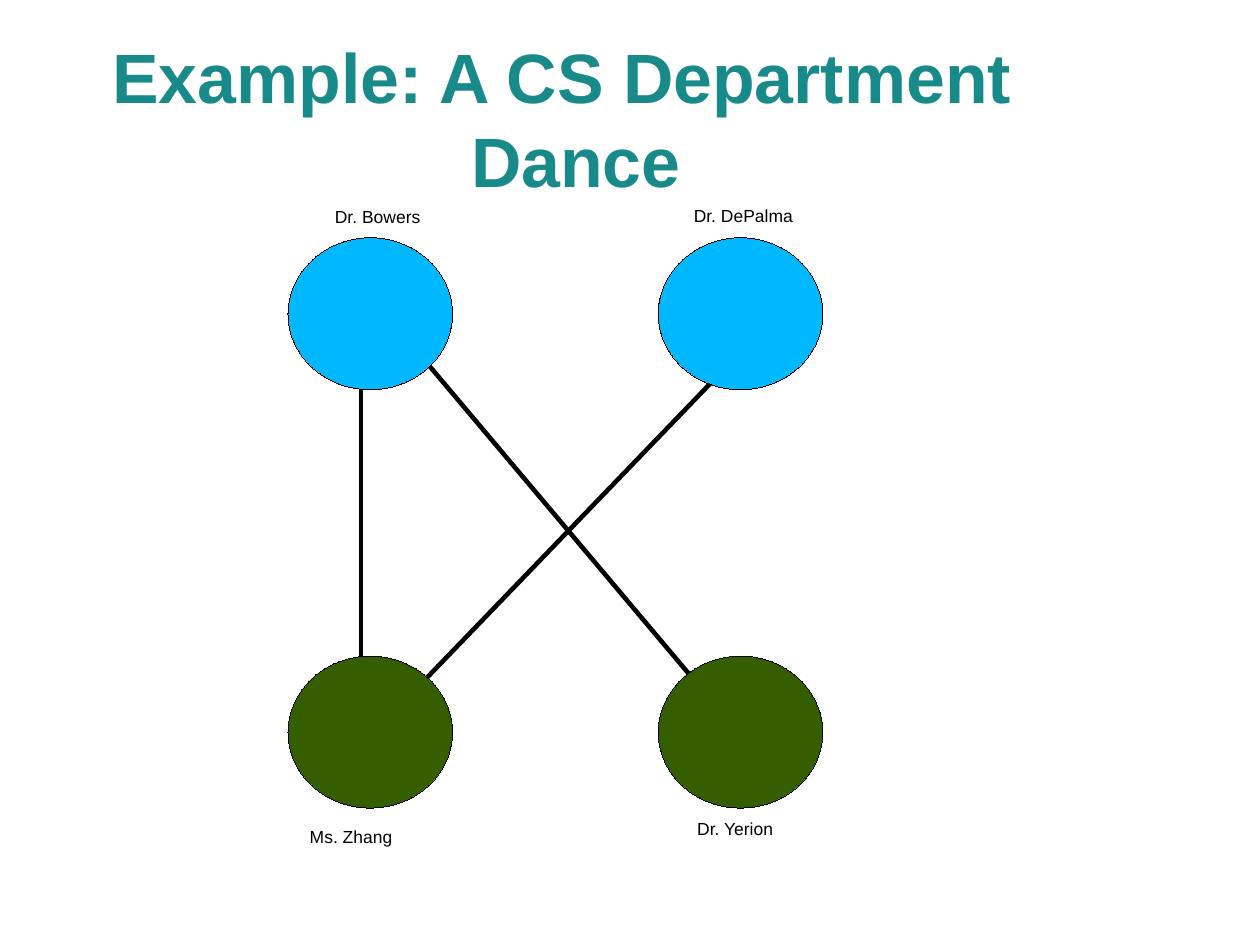
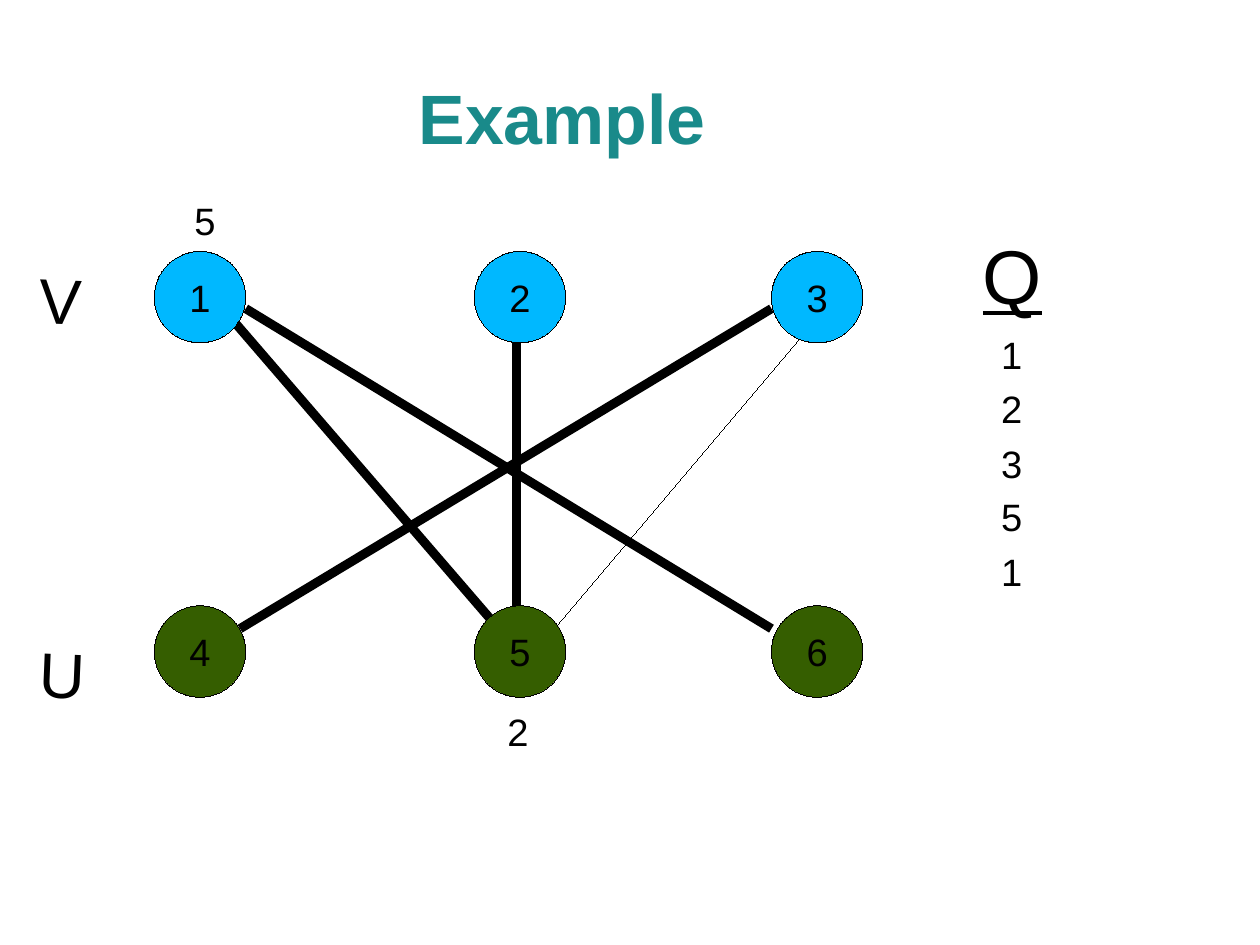
from lxml import etree
from pptx import Presentation, util as u
from pptx.dml.color import RGBColor
from pptx.enum import shapes, text
from pptx.oxml.ns import qn

PX = 9144  # 100 px to the inch
SIZE = (10080625, 7559675)  # 28 by 21 cm page, in EMU
FONT = "Arial"
BLACK, TEAL, BLUE, GREEN = "000000", "198A8A", "00B8FF", "355E00"
HAIRLINE = 0.01

TITLE = {"size": 44, "bold": True, "color": TEAL, "align": text.PP_ALIGN.CENTER}
NODE_TEXT = {"size": 24, "align": text.PP_ALIGN.CENTER}
NAME = {"size": 11}
NUMBER = {"size": 24}
SIDE = {"size": 40}
QUEUE_HEAD = {"size": 48, "underline": True}

# Nodes are rows of (top, fill, labels); edges are (x1, y1, x2, y2, points);
# labels are (words, left, top, width, height, style, rotation).
queue = [(number, 876, 290 + 95 * i // 2, 60, 37, NUMBER, 0)
         for i, number in enumerate("12351")]

SLIDES = [
    {
        "title": ("Example: A CS Department Dance", (39, 19, 906, 167)),
        "node_size": (144, 133),
        "columns": (252, 576),
        "rows": [(208, BLUE, ("", "")), (574, GREEN, ("", ""))],
        "edges": [
            (360, 607, 648, 308, 2.89),
            (368, 311, 620, 610, 2.89),
            (316, 341, 316, 574, 2.89),
        ],
        "labels": [
            ("Dr. Bowers", 293, 180, 149, 24, NAME, 0),
            ("Dr. DePalma", 607, 179, 149, 24, NAME, 0),
            ("Dr. Yerion", 610, 716, 149, 24, NAME, 0),
            ("Ms. Zhang", 271, 723, 149, 24, NAME, 0),
        ],
    },
    {
        "title": ("Example", (39, 33, 906, 138)),
        "node_size": (80, 80),
        "columns": (135, 415, 675),
        "rows": [(220, BLUE, "123"), (530, GREEN, "456")],
        "edges": [
            (195, 270, 445, 560, 5.75),
            (485, 550, 705, 290, HAIRLINE),
            (210, 550, 675, 270, 5.75),
            (215, 270, 675, 550, 5.75),
            (452, 300, 452, 530, 5.75),
        ],
        "labels": [
            ("V", 34, 229, 71, 77, SIDE, 2.4),
            ("U", 34, 556, 71, 77, SIDE, 2.4),
            ("Q", 860, 200, 110, 75, QUEUE_HEAD, 0),
            ("5", 170, 173, 30, 37, NUMBER, 0),
            ("2", 444, 620, 30, 37, NUMBER, 0),
            *queue,
        ],
    },
]


def color(value):
    return RGBColor.from_string(value)


def emu(*lengths):
    return [u.Emu(length * PX) for length in lengths]


def set_all(target, values):
    for name, value in values.items():
        setattr(target, name, value)


def write(shape, words, style, anchor=text.MSO_ANCHOR.TOP, wrap=True):
    """Fill a shape with one formatted paragraph and return that paragraph."""
    frame = shape.text_frame
    set_all(frame, {
        "margin_left": 0, "margin_top": 0, "margin_right": 0, "margin_bottom": 0,
        "word_wrap": wrap, "vertical_anchor": anchor,
        "auto_size": text.MSO_AUTO_SIZE.NONE,
    })
    para = frame.paragraphs[0]
    para.alignment = style.get("align", text.PP_ALIGN.LEFT)
    span = para.add_run()
    span.text = words
    set_all(span.font, {
        "name": FONT, "size": u.Pt(style["size"]),
        "bold": style.get("bold", False), "underline": style.get("underline", False),
    })
    span.font.color.rgb = color(style.get("color", BLACK))
    return para


def add_title(page, words, place):
    title = page.shapes.title
    set_all(title, dict(zip(("left", "top", "width", "height"), emu(*place))))
    para = write(title, words, TITLE, text.MSO_ANCHOR.MIDDLE)
    margin, indent = emu(24, -39)
    props = para._p.get_or_add_pPr()
    props.set("marL", str(margin))
    props.set("indent", str(indent))


def add_edge(page, x1, y1, x2, y2, points):
    edge = page.shapes.add_connector(shapes.MSO_CONNECTOR.STRAIGHT, *emu(x1, y1, x2, y2))
    edge.line.color.rgb = color(BLACK)
    edge.line.width = u.Pt(points)
    etree.SubElement(edge._element.spPr, qn("a:effectLst"))


def add_node(page, place, fill, words):
    node = page.shapes.add_shape(shapes.MSO_SHAPE.OVAL, *emu(*place))
    node.shadow.inherit = False
    node.fill.solid()
    node.fill.fore_color.rgb = color(fill)
    node.line.color.rgb = color(BLACK)
    node.line.width = u.Pt(HAIRLINE)
    if words:
        write(node, words, NODE_TEXT, text.MSO_ANCHOR.MIDDLE, wrap=False)


def add_label(page, words, left, top, width, height, style, rotation):
    box = page.shapes.add_textbox(*emu(left, top, width, height))
    box.rotation = rotation
    write(box, words, style)


def build_page(deck, content):
    page = deck.slides.add_slide(deck.slide_layouts.get_by_name("Title Only"))
    add_title(page, *content["title"])
    for edge in content["edges"]:
        add_edge(page, *edge)
    for top, fill, words in content["rows"]:
        for left, word in zip(content["columns"], words):
            add_node(page, (left, top, *content["node_size"]), fill, word)
    for label in content["labels"]:
        add_label(page, *label)


def main():
    deck = Presentation()
    deck.slide_width, deck.slide_height = SIZE
    for content in SLIDES:
        build_page(deck, content)
    deck.save("out.pptx")


if __name__ == "__main__":
    main()
